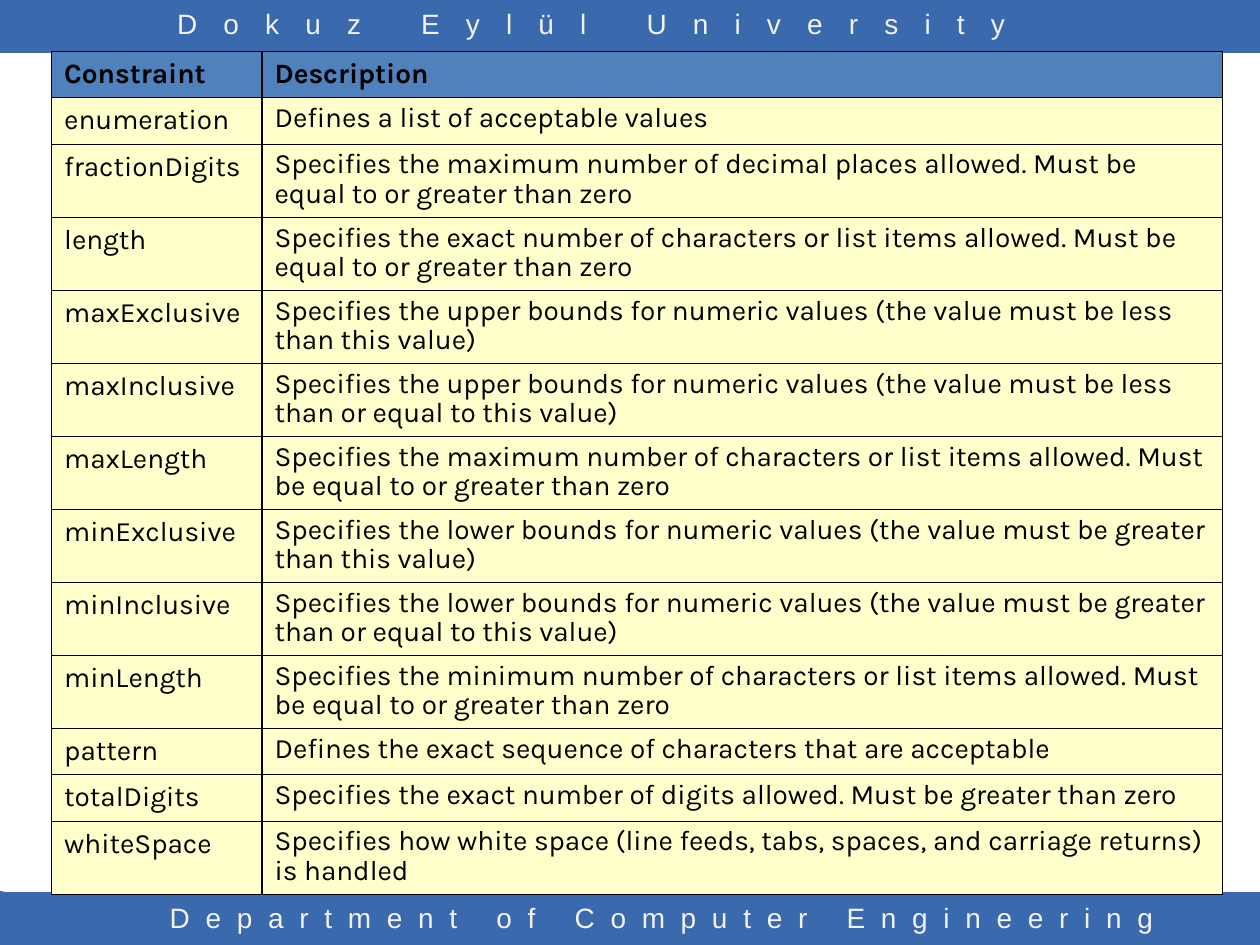
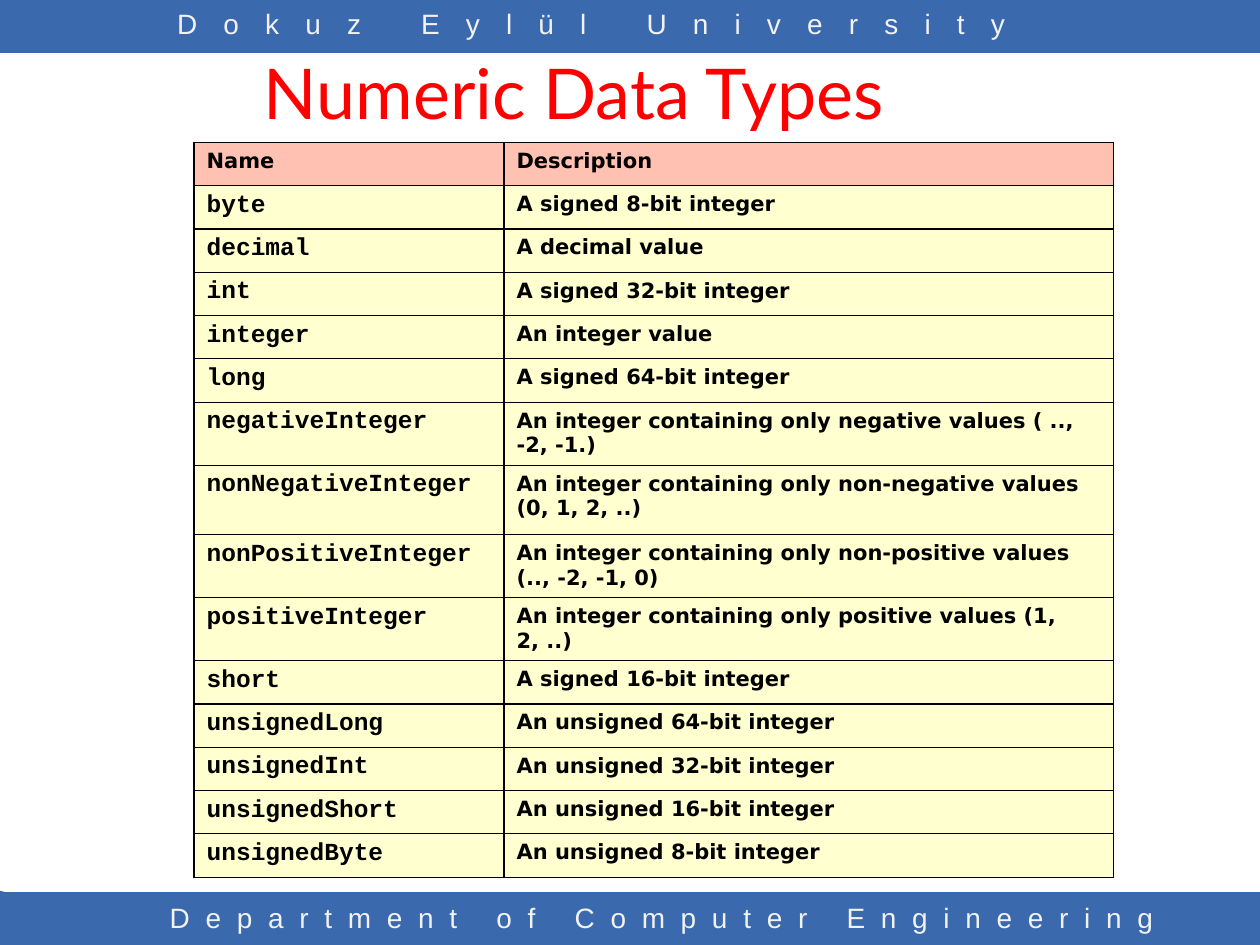
from dataclasses import dataclass
from typing import Any

from lxml import etree
from pptx import Presentation
from pptx import util as u
from pptx.dml import color
from pptx.enum import shapes, text
from pptx.oxml import ns

COLORS = {
    "band": "3B69AE",
    "band_text": "F2F2F2",
    "title": "FF0000",
    "ink": "000000",
    "constraint_head": "4F81BD",
    "constraint_body": "FFFFCC",
    "type_head": "FF3300",
    "type_body": "FFFF66",
}
SIDES = ("lnL", "lnR", "lnT", "lnB")


@dataclass(frozen=True)
class Band:
    caption: str
    top: float
    text_left: float
    text_top: float
    text_width: float
    text_height: float
    letter_spacing: int


@dataclass(frozen=True)
class TextStyle:
    font: str
    size: int
    bold: bool = False
    line_spacing: float = 1.0


@dataclass(frozen=True)
class TableLook:
    left: float
    top: float
    columns: tuple[float, float]
    row_height: float
    tall_height: float
    tall_rows: frozenset[str]
    head_fill: str
    body_fill: str
    opacity: int
    head_style: TextStyle
    name_style: TextStyle
    description_style: TextStyle


BAND_HEIGHT = 0.42
BANDS = (
    Band("Department of Computer Engineering", 7.08, 0.92, 7.1, 8.67, 0.4, 9),
    Band("Dokuz Eylül University", 0, 0.65, 0, 8.09, 0.42, 15),
)
CORNERS = (
    ((0.88, 7.09), (0.92, 7.09), (0.92, 7.5), (0.47, 7.5)),
    ((0, 7.07), (0.04, 7.08), (0.46, 7.5), (0, 7.5)),
)

CONSTRAINTS = (
    ("Constraint", "Description"),
    ("enumeration", "Defines a list of acceptable values"),
    ("fractionDigits", "Specifies the maximum number of decimal places allowed. "
     "Must be equal to or greater than zero"),
    ("length", "Specifies the exact number of characters or list items allowed. "
     "Must be equal to or greater than zero"),
    ("maxExclusive", "Specifies the upper bounds for numeric values "
     "(the value must be less than this value)"),
    ("maxInclusive", "Specifies the upper bounds for numeric values "
     "(the value must be less than or equal to this value)"),
    ("maxLength", "Specifies the maximum number of characters or list items allowed. "
     "Must be equal to or greater than zero"),
    ("minExclusive", "Specifies the lower bounds for numeric values "
     "(the value must be greater than this value)"),
    ("minInclusive", "Specifies the lower bounds for numeric values "
     "(the value must be greater than or equal to this value)"),
    ("minLength", "Specifies the minimum number of characters or list items allowed. "
     "Must be equal to or greater than zero"),
    ("pattern", "Defines the exact sequence of characters that are acceptable"),
    ("totalDigits", "Specifies the exact number of digits allowed. "
     "Must be greater than zero"),
    ("whiteSpace", "Specifies how white space (line feeds, tabs, spaces, "
     "and carriage returns) is handled"),
)
NUMERIC_TYPES = (
    ("Name", "Description"),
    ("byte", "A signed 8-bit integer"),
    ("decimal", "A decimal value"),
    ("int", "A signed 32-bit integer"),
    ("integer", "An integer value"),
    ("long", "A signed 64-bit integer"),
    ("negativeInteger", "An integer containing only negative values ( .., -2, -1.)"),
    ("nonNegativeInteger", "An integer containing only non-negative values (0, 1, 2, ..)"),
    ("nonPositiveInteger", "An integer containing only non-positive values (.., -2, -1, 0)"),
    ("positiveInteger", "An integer containing only positive values (1, 2, ..)"),
    ("short", "A signed 16-bit integer"),
    ("unsignedLong", "An unsigned 64-bit integer"),
    ("unsignedInt", "An unsigned 32-bit integer"),
    ("unsignedShort", "An unsigned 16-bit integer"),
    ("unsignedByte", "An unsigned 8-bit integer"),
)

CONSTRAINT_LOOK = TableLook(
    left=0.41, top=0.41, columns=(1.67, 7.62), row_height=0.36, tall_height=0.58,
    tall_rows=frozenset(name for name, _ in CONSTRAINTS[2:10]) | {"whiteSpace"},
    head_fill="constraint_head", body_fill="constraint_body", opacity=100,
    head_style=TextStyle("Karla", 16, bold=True),
    name_style=TextStyle("Karla", 16),
    description_style=TextStyle("Karla", 16, line_spacing=0.9),
)
TYPE_LOOK = TableLook(
    left=1.54, top=1.13, columns=(2.46, 4.84), row_height=5.16 / 15, tall_height=0.55,
    tall_rows=frozenset({"nonNegativeInteger"}),
    head_fill="type_head", body_fill="type_body", opacity=30,
    head_style=TextStyle("DejaVu Sans", 12, bold=True),
    name_style=TextStyle("Courier New", 14, bold=True),
    description_style=TextStyle("DejaVu Sans", 12, bold=True),
)


def rgb(name: str) -> color.RGBColor:
    return color.RGBColor.from_string(COLORS[name])


def write(frame: Any, words: str, style: TextStyle, ink: str, align: Any) -> Any:
    para = frame.paragraphs[0]
    para.alignment = align
    para.line_spacing = style.line_spacing
    span = para.add_run()
    span.text = words
    values = {"name": style.font, "size": u.Pt(style.size), "bold": style.bold}
    for key, value in values.items():
        setattr(span.font, key, value)
    span.font.color.rgb = rgb(ink)
    return span


def paint_band(shape: Any) -> None:
    shape.shadow.inherit = False
    shape.fill.solid()
    shape.fill.fore_color.rgb = rgb("band")
    shape.line.fill.background()


def draw_bands(page: Any) -> None:
    for band in BANDS:
        paint_band(page.shapes.add_shape(
            shapes.MSO_SHAPE.RECTANGLE, 0, u.Inches(band.top),
            u.Inches(10), u.Inches(BAND_HEIGHT)))
    for corner in CORNERS:
        points = [(u.Inches(x), u.Inches(y)) for x, y in corner]
        outline = page.shapes.build_freeform(*points[0])
        outline.add_line_segments(points[1:], close=True)
        paint_band(outline.convert_to_shape())
    for band in BANDS:
        box = page.shapes.add_textbox(
            u.Inches(band.text_left), u.Inches(band.text_top),
            u.Inches(band.text_width), u.Inches(band.text_height))
        box.text_frame.word_wrap = True
        span = write(box.text_frame, band.caption, TextStyle("Arial", 16),
                     "band_text", text.PP_ALIGN.CENTER)
        span.font._element.set("spc", str(band.letter_spacing * 100))


def add_fill(parent: Any, fill: str, opacity: int = 100) -> None:
    solid = etree.SubElement(parent, ns.qn("a:solidFill"))
    tint = etree.SubElement(solid, ns.qn("a:srgbClr"), val=COLORS[fill])
    if opacity < 100:
        etree.SubElement(tint, ns.qn("a:alpha"), val=str(opacity * 1000))


def format_cell(cell: Any, fill: str, opacity: int) -> None:
    properties = cell._tc.get_or_add_tcPr()
    for side in SIDES:
        border = etree.SubElement(properties, ns.qn(f"a:{side}"), w=str(u.Pt(0.75)))
        add_fill(border, "ink")
    add_fill(properties, fill, opacity)


def draw_table(page: Any, rows: tuple[tuple[str, str], ...], look: TableLook) -> None:
    heights = [look.tall_height if name in look.tall_rows else look.row_height
               for name, _ in rows]
    table = page.shapes.add_table(
        len(rows), len(look.columns), u.Inches(look.left), u.Inches(look.top),
        u.Inches(sum(look.columns)), u.Inches(sum(heights))).table
    table.first_row = table.horz_banding = False
    for column, width in zip(table.columns, look.columns):
        column.width = u.Inches(width)
    for index, (row, height) in enumerate(zip(table.rows, heights)):
        row.height = u.Inches(height)
        fill = look.body_fill if index else look.head_fill
        styles = ((look.name_style, look.description_style) if index
                  else (look.head_style, look.head_style))
        for cell, words, style in zip(row.cells, rows[index], styles):
            write(cell.text_frame, words, style, "ink", text.PP_ALIGN.LEFT)
            format_cell(cell, fill, look.opacity)


def set_title(page: Any, words: str) -> None:
    title = page.shapes.title
    place = {"left": 0.5, "top": 0.13, "width": 8.25, "height": 1.19}
    for key, value in place.items():
        setattr(title, key, u.Inches(value))
    title.text_frame.vertical_anchor = text.MSO_ANCHOR.MIDDLE
    write(title.text_frame, words, TextStyle("Lato", 40), "title", text.PP_ALIGN.CENTER)


def main() -> None:
    deck = Presentation()
    deck.slide_width, deck.slide_height = u.Inches(10), u.Inches(7.5)
    title_only, blank = deck.slide_layouts[5], deck.slide_layouts[6]

    constraint_page = deck.slides.add_slide(blank)
    draw_bands(constraint_page)
    draw_table(constraint_page, CONSTRAINTS, CONSTRAINT_LOOK)

    type_page = deck.slides.add_slide(title_only)
    draw_bands(type_page)
    set_title(type_page, "Numeric Data Types ")
    draw_table(type_page, NUMERIC_TYPES, TYPE_LOOK)

    deck.save("out.pptx")


if __name__ == "__main__":
    main()
